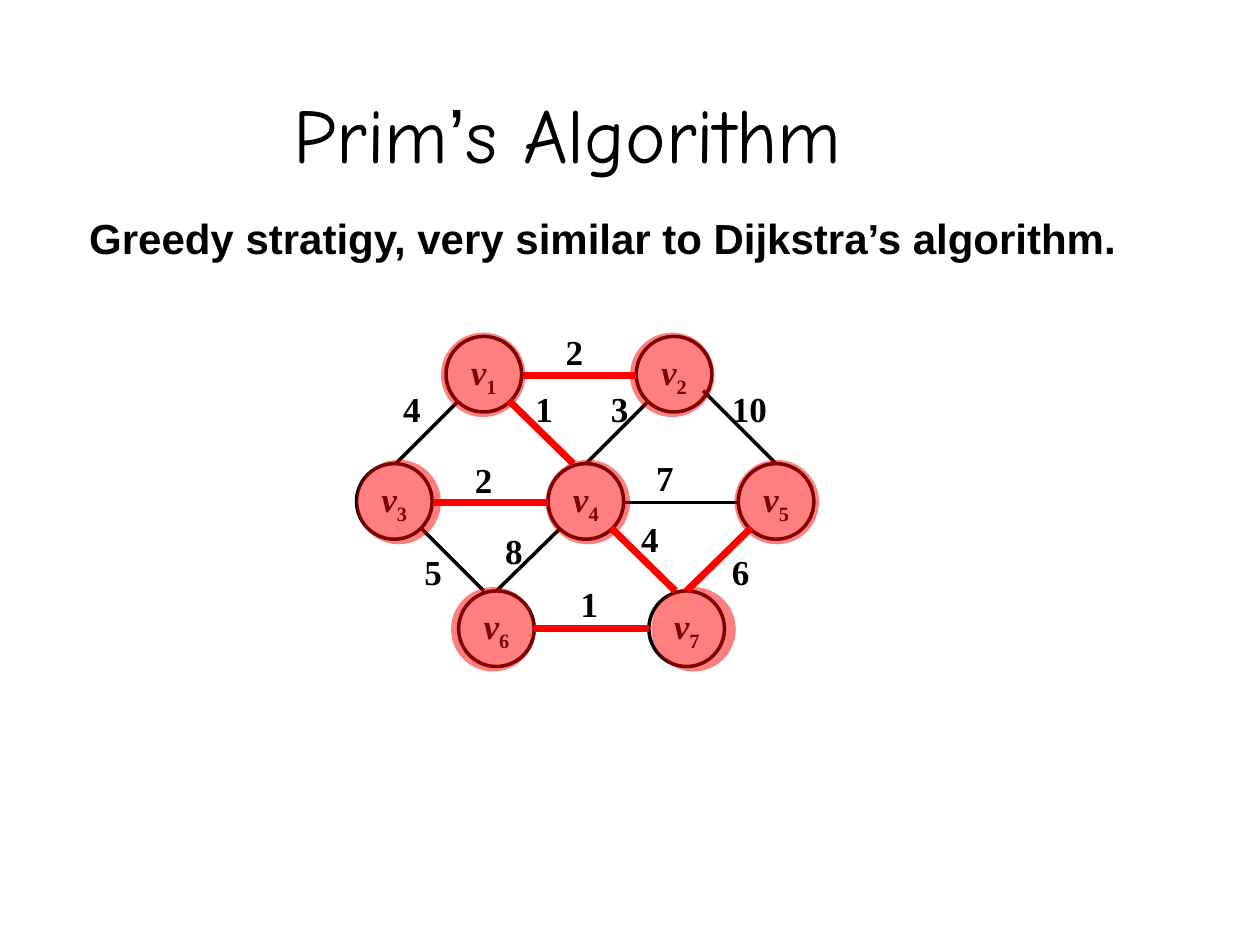
from lxml import etree
from pptx import Presentation
from pptx.dml.color import RGBColor
from pptx.enum.shapes import MSO_CONNECTOR, MSO_SHAPE
from pptx.enum.text import MSO_ANCHOR, PP_ALIGN
from pptx.oxml.ns import qn
from pptx.util import Inches, Pt

OVAL = MSO_SHAPE.OVAL
STRAIGHT = MSO_CONNECTOR.STRAIGHT
CENTER = PP_ALIGN.CENTER
MIDDLE = MSO_ANCHOR.MIDDLE
BOTTOM = MSO_ANCHOR.BOTTOM

COLORS = {"ink": "000000", "tree": "FF0000"}
TITLE_FONT, BODY_FONT, GRAPH_FONT = "Comic Neue", "Arial", "Times New Roman"

NODE_SIZE = 0.6
MARK_SIZE = 0.67
ROW_TOPS = (2.67, 3.68, 4.69)

# Vertex number: left edge, row, left edge of its highlight
VERTICES = {
    1: (3.54, 0, 3.5),
    2: (5.05, 0, 5.0),
    3: (2.83, 1, 2.83),
    4: (4.35, 1, 4.33),
    5: (5.86, 1, 5.83),
    6: (3.64, 2, 3.58),
    7: (5.15, 2, 5.17),
}

# Vertex pair: start, end, weight, left and top of the weight label
EDGES = {
    (1, 2): ((4.15, 2.98), (5.05, 2.98), 2, (4.39, 2.57)),
    (1, 3): ((3.64, 3.18), (3.14, 3.68), 4, (3.1, 3.03)),
    (1, 4): ((4.04, 3.18), (4.55, 3.68), 1, (4.15, 3.03)),
    (2, 4): ((5.15, 3.18), (4.65, 3.68), 3, (4.75, 3.03)),
    (2, 5): ((5.58, 3.1), (6.16, 3.68), 10, (5.71, 3.03)),
    (3, 4): ((3.44, 3.99), (4.35, 3.99), 2, (3.67, 3.59)),
    (4, 5): ((4.95, 3.99), (5.86, 3.99), 7, (5.11, 3.57)),
    (3, 6): ((3.34, 4.19), (3.84, 4.69), 5, (3.27, 4.32)),
    (4, 6): ((4.45, 4.19), (3.94, 4.69), 8, (3.91, 4.15)),
    (4, 7): ((4.85, 4.19), (5.36, 4.69), 4, (4.99, 4.06)),
    (5, 7): ((5.96, 4.19), (5.45, 4.69), 6, (5.71, 4.32)),
    (6, 7): ((4.24, 4.99), (5.15, 4.99), 1, (4.51, 4.57)),
}

# Tree edges in the order chosen, each with the vertex it adds
TREE_STEPS = [((1, 4), 4), ((1, 2), 2), ((3, 4), 3),
              ((4, 7), 7), ((6, 7), 6), ((5, 7), 5)]


def color(name):
    return RGBColor.from_string(COLORS[name])


def format_run(run, font_name, size, bold=False, italic=False):
    run.font.name = font_name
    run.font.size = Pt(size)
    run.font.bold = bold
    run.font.italic = italic
    run.font.color.rgb = color("ink")


def add_title(slide):
    title = slide.shapes.title
    title.left, title.top = Inches(0.75), Inches(0.17)
    title.width, title.height = Inches(7.51), Inches(1.3)
    title.text_frame.vertical_anchor = BOTTOM
    paragraph = title.text_frame.paragraphs[0]
    paragraph.alignment = CENTER
    for text, font_name in (("Prim", TITLE_FONT), ("’", BODY_FONT),
                            ("s Algorithm", TITLE_FONT)):
        run = paragraph.add_run()
        run.text = text
        format_run(run, font_name, 44)


def add_text(slide, text, left, top, width, height, font_name, size, wrap=True):
    box = slide.shapes.add_textbox(Inches(left), Inches(top),
                                   Inches(width), Inches(height))
    box.text_frame.word_wrap = wrap
    box.text_frame.text = text
    format_run(box.text_frame.paragraphs[0].runs[0], font_name, size, bold=True)


def add_circle(slide, left, top, size):
    circle = slide.shapes.add_shape(OVAL, Inches(left), Inches(top),
                                    Inches(size), Inches(size))
    circle.shadow.inherit = False
    return circle


def add_vertex(slide, number):
    left, row, _ = VERTICES[number]
    vertex = add_circle(slide, left, ROW_TOPS[row], NODE_SIZE)
    vertex.fill.background()
    vertex.line.color.rgb = color("ink")
    vertex.line.width = Pt(2)
    frame = vertex.text_frame
    frame.word_wrap = False
    frame.vertical_anchor = MIDDLE
    paragraph = frame.paragraphs[0]
    paragraph.alignment = CENTER
    letter, subscript = paragraph.add_run(), paragraph.add_run()
    letter.text, subscript.text = "v", str(number)
    format_run(letter, GRAPH_FONT, 20, bold=True, italic=True)
    format_run(subscript, GRAPH_FONT, 20, bold=True)
    subscript.font._element.set("baseline", "-25000")


def add_edge(slide, pair, color_name, width):
    start, end = EDGES[pair][:2]
    points = [Inches(value) for value in (*start, *end)]
    edge = slide.shapes.add_connector(STRAIGHT, *points)
    edge.line.color.rgb = color(color_name)
    edge.line.width = Pt(width)
    etree.SubElement(edge._element.spPr, qn("a:effectLst"))


def add_highlight(slide, number):
    _, row, left = VERTICES[number]
    mark = add_circle(slide, left, ROW_TOPS[row] - 0.03, MARK_SIZE)
    mark.fill.solid()
    mark.fill.fore_color.rgb = color("tree")
    mark.line.fill.background()
    fill_color = mark._element.spPr.find(".//" + qn("a:srgbClr"))
    etree.SubElement(fill_color, qn("a:alpha"), val="50000")


def main():
    presentation = Presentation()
    presentation.slide_width, presentation.slide_height = Inches(10), Inches(7.5)
    slide = presentation.slides.add_slide(presentation.slide_layouts[5])

    # Heading
    add_text(slide, "Greedy stratigy, very similar to Dijkstra’s algorithm.",
             0.61, 1.64, 8.43, 0.51, BODY_FONT, 24, wrap=False)
    add_title(slide)

    # Weighted graph
    for number in VERTICES:
        add_vertex(slide, number)
    for pair in EDGES:
        add_edge(slide, pair, "ink", 2)
    for _, _, weight, (left, top) in EDGES.values():
        width = 0.48 if weight < 10 else 0.72
        add_text(slide, str(weight), left, top, width, 0.44, GRAPH_FONT, 20)

    # Minimum spanning tree, grown from the first vertex
    add_highlight(slide, 1)
    for pair, added_vertex in TREE_STEPS:
        add_edge(slide, pair, "tree", 4)
        add_highlight(slide, added_vertex)

    presentation.save("out.pptx")


if __name__ == "__main__":
    main()
